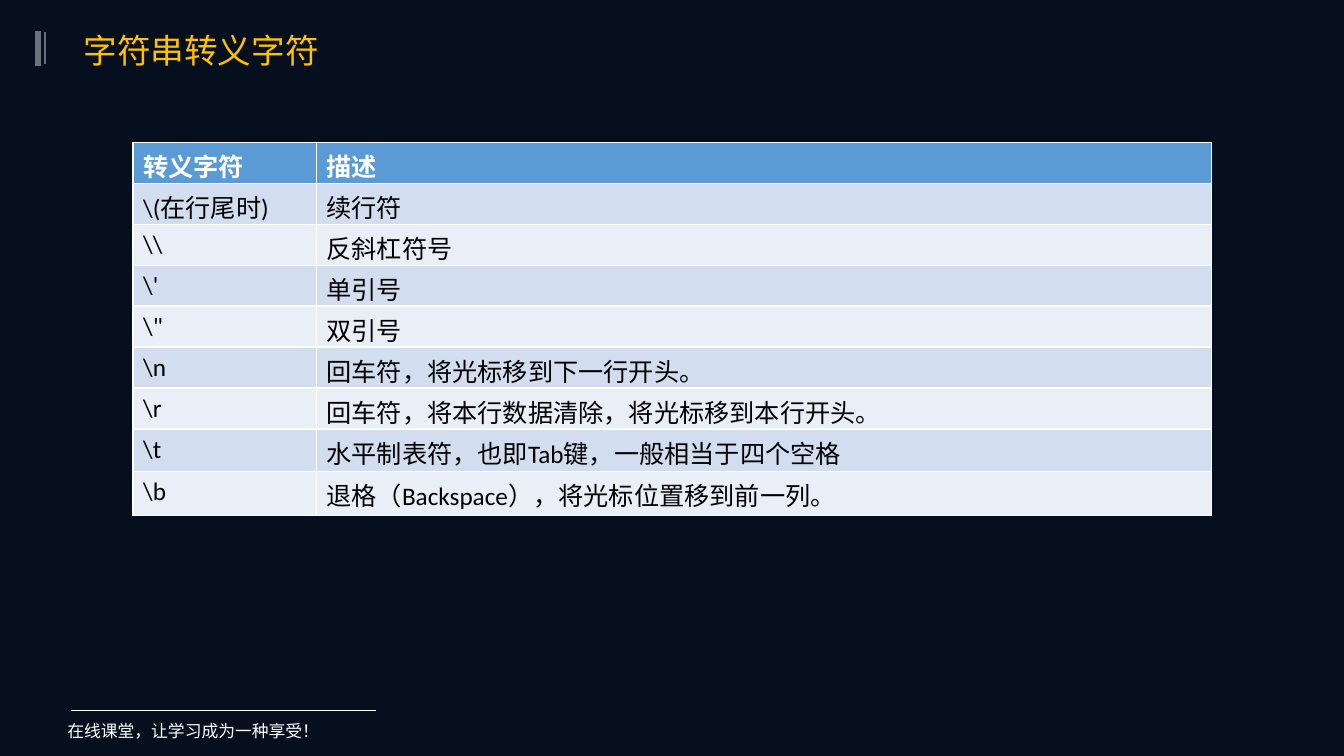
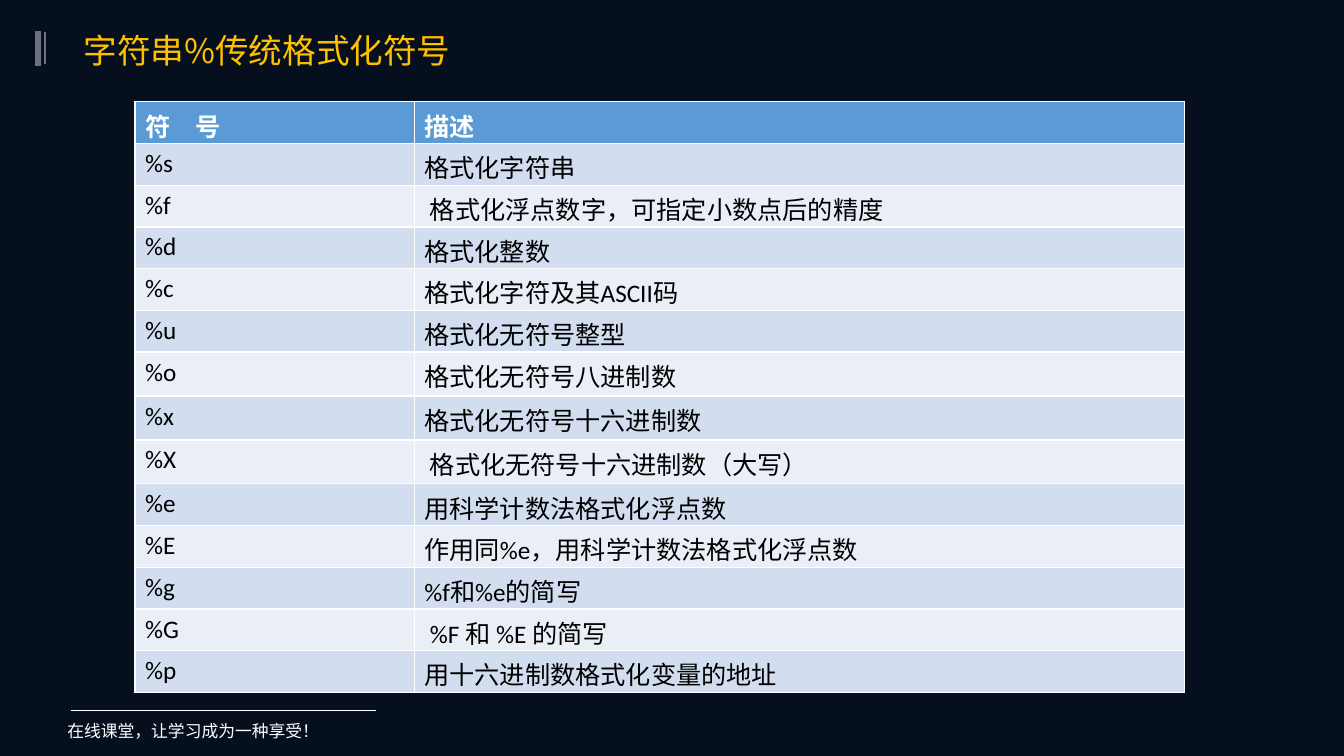
from dataclasses import dataclass, field

from lxml.etree import SubElement
from pptx import Presentation
from pptx.dml.color import RGBColor
from pptx.enum.text import MSO_ANCHOR
from pptx.oxml.ns import qn
from pptx.slide import Slide
from pptx.text.text import TextFrame
from pptx.util import Pt


@dataclass(frozen=True)
class Theme:
    backdrop: str = "060F1E"
    title: str = "FFC000"
    accent_bar: str = "6A727E"
    light: str = "FFFFFF"
    dark: str = "000000"
    header: str = "5B9BD5"
    bands: tuple[str, str] = ("D2DEEF", "EAEFF7")
    cjk_font: str = "Noto Sans CJK SC"
    table_font: str = "Calibri"
    title_size: float = 24
    table_size: float = 18
    footer_size: float = 12


@dataclass(frozen=True)
class Rule:
    start: tuple[float, float]
    end: tuple[float, float]
    color: str
    weight: float


@dataclass(frozen=True)
class SymbolTable:
    left: float
    top: float
    column_widths: tuple[float, float]
    row_height: float
    rows: list[tuple[str, str]]
    tall_rows: dict[int, float] = field(default_factory=dict)


@dataclass(frozen=True)
class Page:
    title: str
    symbols: SymbolTable


THEME = Theme()
FOOTER = "在线课堂，让学习成为一种享受！"
RULES = [
    Rule((27.4, 22.3), (27.4, 46.8), THEME.accent_bar, 4.5),
    Rule((32.4, 23), (32.4, 46), THEME.accent_bar, 1.5),
    Rule((50.4, 507.6), (268.6, 507.6), THEME.light, 0.5),
]

PAGES = [
    Page("字符串转义字符", SymbolTable(
        95, 101.5, (131, 639.4), 29.3,
        [
            ("转义字符", "描述"),
            (r"\(在行尾时)", "续行符"),
            (r"\\", "反斜杠符号"),
            (r"\'", "单引号"),
            (r'\"', "双引号"),
            (r"\n", "回车符，将光标移到下一行开头。"),
            (r"\r", "回车符，将本行数据清除，将光标移到本行开头。"),
            (r"\t", "水平制表符，也即Tab键，一般相当于四个空格"),
            (r"\b", "退格（Backspace），将光标位置移到前一列。"),
        ],
        {7: 30.2, 8: 31.7},
    )),
    Page("字符串%传统格式化符号", SymbolTable(
        96.5, 72.7, (199.4, 550), 29.8,
        [
            ("符　号", "描述"),
            ("%s", "格式化字符串"),
            ("%f", " 格式化浮点数字，可指定小数点后的精度"),
            ("%d", "格式化整数"),
            ("%c", "格式化字符及其ASCII码"),
            ("%u", "格式化无符号整型"),
            ("%o", "格式化无符号八进制数"),
            ("%x", "格式化无符号十六进制数"),
            ("%X", " 格式化无符号十六进制数（大写）"),
            ("%e", "用科学计数法格式化浮点数"),
            ("%E", "作用同%e，用科学计数法格式化浮点数"),
            ("%g", "%f和%e的简写"),
            ("%G", " %F 和 %E 的简写"),
            ("%p", "用十六进制数格式化变量的地址"),
        ],
        {6: 31.4, 7: 31.4, 8: 31.4},
    )),
]


def write(frame: TextFrame, text: str, size: float, color: str,
          latin: str = THEME.cjk_font, bold: bool = False) -> None:
    """Fill a frame with one paragraph in a single style."""
    paragraph = frame.paragraphs[0]
    paragraph.text = text
    font = paragraph.font
    font.name, font.size, font.bold = latin, Pt(size), bold
    font.color.rgb = RGBColor.from_string(color)
    # East Asian characters take their own typeface
    defaults = paragraph._p.pPr.find(qn("a:defRPr"))
    SubElement(defaults, qn("a:ea")).set("typeface", THEME.cjk_font)


def add_label(slide: Slide, text: str, box: tuple[float, float, float, float],
              size: float, color: str) -> None:
    frame = slide.shapes.add_textbox(*map(Pt, box)).text_frame
    frame.word_wrap = True
    frame.vertical_anchor = MSO_ANCHOR.MIDDLE
    write(frame, text, size, color)


def add_rule(slide: Slide, rule: Rule) -> None:
    line = slide.shapes.add_connector(1, *map(Pt, rule.start + rule.end))
    line.line.color.rgb = RGBColor.from_string(rule.color)
    line.line.width = Pt(rule.weight)
    SubElement(line._element.spPr, qn("a:effectLst"))


def add_symbols(slide: Slide, symbols: SymbolTable) -> None:
    heights = [symbols.tall_rows.get(i, symbols.row_height)
               for i in range(len(symbols.rows))]
    # The default table style supplies the white grid and thick header rule
    table = slide.shapes.add_table(
        len(symbols.rows), len(symbols.column_widths),
        Pt(symbols.left), Pt(symbols.top),
        Pt(sum(symbols.column_widths)), Pt(sum(heights)),
    ).table
    for column, width in zip(table.columns, symbols.column_widths):
        column.width = Pt(width)
    for i, (row, height, texts) in enumerate(zip(table.rows, heights, symbols.rows)):
        row.height = Pt(height)
        is_header = i == 0
        fill = THEME.header if is_header else THEME.bands[(i - 1) % 2]
        color = THEME.light if is_header else THEME.dark
        for cell, text in zip(row.cells, texts):
            cell.fill.solid()
            cell.fill.fore_color.rgb = RGBColor.from_string(fill)
            write(cell.text_frame, text, THEME.table_size, color,
                  THEME.table_font, is_header)


def add_page(slide: Slide, page: Page) -> None:
    # Shared frame: bars, footer and title
    for rule in RULES:
        add_rule(slide, rule)
    add_label(slide, FOOTER, (41, 511.2, 287.3, 21.6), THEME.footer_size, THEME.light)
    add_label(slide, page.title, (52.6, 15, 536, 42), THEME.title_size, THEME.title)
    # Page content
    add_symbols(slide, page.symbols)


def main() -> None:
    deck = Presentation()
    deck.slide_width, deck.slide_height = Pt(960), Pt(540)
    backdrop = deck.slide_master.background.fill
    backdrop.solid()
    backdrop.fore_color.rgb = RGBColor.from_string(THEME.backdrop)
    for page in PAGES:
        add_page(deck.slides.add_slide(deck.slide_layouts[6]), page)
    deck.save("out.pptx")


if __name__ == "__main__":
    main()
